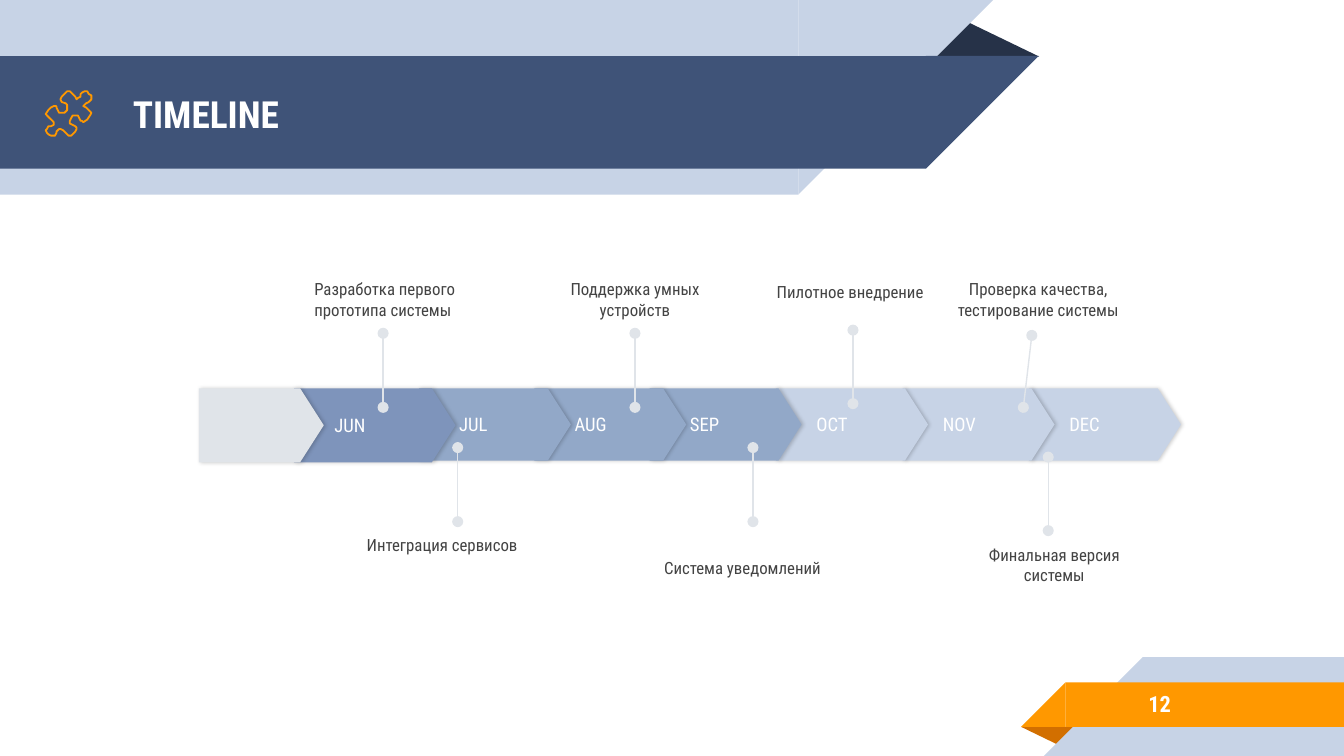
from itertools import accumulate

from lxml import etree
from pptx import Presentation
from pptx.dml.color import RGBColor
from pptx.enum.shapes import MSO_CONNECTOR, MSO_SHAPE as Shape
from pptx.enum.text import MSO_ANCHOR as Anchor, PP_ALIGN as Align
from pptx.oxml.ns import qn
from pptx.util import Cm, Pt

FONT = "Roboto Condensed"
WHITE = RGBColor(0xFF, 0xFF, 0xFF)
PALE = RGBColor(0xC7, 0xD3, 0xE6)
STEEL = RGBColor(0x92, 0xA8, 0xC8)
BLUE = RGBColor(0x7E, 0x94, 0xBB)
NAVY = RGBColor(0x3F, 0x53, 0x78)
INK = RGBColor(0x26, 0x32, 0x48)
GREY = RGBColor(0xE0, 0xE4, 0xE9)
TEXT = RGBColor(0x43, 0x43, 0x43)
ORANGE = RGBColor(0xFF, 0x98, 0x00)
RUST = RGBColor(0xD2, 0x6F, 0x00)

# Content; all lengths in cm
TITLE = "TIMELINE"
NUMBER = "12"
# label, distance to the next arrow, width, height, colour
MONTHS = [
    ("", 1.8, 2.36, 1.4, GREY),
    ("JUN", 2.36, 3.05, 1.4, BLUE),
    ("JUL", 2.18, 2.87, 1.37, STEEL),
    ("AUG", 2.18, 2.87, 1.37, STEEL),
    ("SEP", 2.39, 2.87, 1.37, STEEL),
    ("OCT", 2.39, 2.87, 1.37, PALE),
    ("NOV", 2.39, 2.87, 1.37, PALE),
    ("DEC", 0, 2.87, 1.37, PALE),
]
ARROWS_LEFT, ARROWS_TOP = 3.76, 7.34
# text, left, top, width, anchor, alignment, pin start, pin end
MILESTONES = [
    ("Разработка первого прототипа системы", 5.94, 4.57, 3.48,
     Anchor.BOTTOM, Align.LEFT, (7.24, 7.7), (7.24, 6.3)),
    ("Интеграция сервисов", 6.93, 10.11, 3.48,
     Anchor.TOP, Align.LEFT, (8.65, 9.86), (8.65, 8.46)),
    ("Поддержка умных устройств", 10.26, 4.57, 3.48,
     Anchor.BOTTOM, Align.CENTER, (12, 7.7), (12, 6.3)),
    ("Система уведомлений", 12.29, 9.45, 3.48,
     Anchor.BOTTOM, Align.CENTER, (14.23, 9.86), (14.23, 8.46)),
    ("Пилотное внедрение", 14.68, 5.33, 3.48,
     Anchor.TOP, Align.LEFT, (16.12, 7.63), (16.12, 6.24)),
    ("Проверка качества, тестирование системы", 17.88, 4.57, 3.48,
     Anchor.BOTTOM, Align.CENTER, (19.34, 7.7), (19.5, 6.34)),
    ("Финальная версия системы", 18.49, 10.29, 2.87,
     Anchor.TOP, Align.CENTER, (19.81, 10.03), (19.81, 8.64)),
]
MILESTONE_HEIGHT = 1.47
# Puzzle piece outline, in steps of ICON_STEP
ICON_STEP = 0.0254
PUZZLE = [
    (64, 77), (66, 75.5), (67.5, 74), (68, 72.5), (67.5, 71), (66.5, 69.5),
    (65, 68.5), (63, 68), (61, 69), (60, 70.5), (59.5, 72), (58.5, 73),
    (57, 73.5), (55.5, 72.5), (53, 69), (51.5, 68), (50, 68.5), (48, 70),
    (46, 72.5), (45, 74.5), (46, 76), (49, 77), (50, 78), (50.5, 80),
    (49.5, 82), (48, 83.5), (46, 84), (44, 83.5), (43, 82), (42.5, 80.5),
    (41.5, 79.3), (40, 78.8), (38, 79.8), (36, 82), (34.5, 85), (35.5, 87),
    (39, 89.5), (40, 91), (39.5, 93), (38, 94), (36, 94.5), (35, 95.5),
    (34.5, 97), (35, 99), (36, 100.2), (37.5, 101), (39.5, 101.3),
    (41, 100.7), (42, 99), (42.5, 97.5), (43.5, 96.5), (45, 96), (47, 97),
    (49.5, 100.3), (51, 101.2), (53, 100.6), (55.5, 98.5), (57, 96.3),
    (57.2, 95), (56, 93.8), (53.5, 92.8), (52.2, 91.5), (52, 89.5),
    (53, 87.8), (54.5, 86.4), (56.5, 85.8), (58.5, 86.2), (59.3, 87.5),
    (60, 89.5), (61, 90.5), (62.5, 90.7), (65, 89), (67, 86.5), (68, 84.5),
    (67, 83), (63.5, 80.5), (62.4, 79), (62.8, 77.7),
]


def paint(shape, color):
    shape.shadow.inherit = False
    shape.fill.solid()
    shape.fill.fore_color.rgb = color
    shape.line.fill.background()


def add_part(page, kind, left, top, width, height, color):
    shape = page.shapes.add_shape(kind, Cm(left), Cm(top), Cm(width), Cm(height))
    paint(shape, color)
    return shape


def add_band(page, left, top, width, height, color, slant_right):
    """A bar with a 45 degree end on its right or its left."""
    bar_left = left if slant_right else left + height
    end_left = left + width - height if slant_right else left
    add_part(page, Shape.RECTANGLE, bar_left, top, width - height, height, color)
    end = add_part(page, Shape.RIGHT_TRIANGLE, end_left, top, height, height, color)
    end._element.spPr.xfrm.set("flipV" if slant_right else "flipH", "1")


def add_fold(page, left, top, width, height, color, rotation=0):
    fold = add_part(page, Shape.ISOSCELES_TRIANGLE, left, top, width, height, color)
    fold.adjustments[0] = 0.32
    fold.rotation = rotation


def write(shape, text, size, color, anchor, align=Align.LEFT, bold=False,
          inset=0.0, left_inset=None):
    frame = shape.text_frame
    frame.word_wrap = True
    frame.vertical_anchor = anchor
    frame.margin_top = frame.margin_right = frame.margin_bottom = Cm(inset)
    frame.margin_left = Cm(inset if left_inset is None else left_inset)
    frame.text = text
    para = frame.paragraphs[0]
    para.alignment = align
    para.font.name, para.font.size, para.font.bold = FONT, Pt(size), bold
    para.font.color.rgb = color


def add_text(page, left, top, width, height, *args, **options):
    box = page.shapes.add_textbox(Cm(left), Cm(top), Cm(width), Cm(height))
    write(box, *args, **options)


def add_soft_shadow(shape):
    effects = shape._element.spPr.find(qn("a:effectLst"))
    shadow = etree.SubElement(effects, qn("a:outerShdw"), blurRad=str(Pt(2.2)),
                              dist=str(Pt(0.8)), dir="0", rotWithShape="0")
    tint = etree.SubElement(shadow, qn("a:srgbClr"), val="000000")
    etree.SubElement(tint, qn("a:alpha"), val="20000")


def add_pin(page, start, end):
    pin = page.shapes.add_connector(MSO_CONNECTOR.STRAIGHT,
                                    *[Cm(value) for value in start + end])
    pin.line.color.rgb = GREY
    pin.line.width = Pt(0.75)
    for tag in ("a:headEnd", "a:tailEnd"):
        etree.SubElement(pin.line._get_or_add_ln(), qn(tag), type="oval")
    etree.SubElement(pin._element.spPr, qn("a:effectLst"))


deck = Presentation()
deck.slide_width, deck.slide_height = Cm(25.4), Cm(14.29)
page = deck.slides.add_slide(deck.slide_layouts[5])

# Header and footer ribbons
add_fold(page, 17.48, 0.36, 2.16, 0.71, INK)
add_band(page, 0, 0, 18.77, 3.68, PALE, True)
add_band(page, 0, 1.06, 19.63, 2.13, NAVY, True)
add_fold(page, 19.3, 13.74, 1.09, 0.36, RUST, 180)
add_band(page, 19.73, 12.42, 5.67, 1.87, PALE, False)
add_band(page, 19.3, 12.9, 6.1, 0.84, ORANGE, False)

# Title, page number and icon
title = page.shapes.title
title.left, title.top, title.width, title.height = Cm(2.26), Cm(1.09), Cm(14.6), Cm(2.13)
write(title, TITLE, 20, WHITE, Anchor.MIDDLE, bold=True, inset=0.25)
page.shapes._spTree.append(title._element)
add_text(page, 18.24, 12.85, 4.14, 0.89, NUMBER, 12, WHITE, Anchor.MIDDLE,
         Align.RIGHT, bold=True, inset=0.25)
outline = page.shapes.build_freeform(*PUZZLE[0], scale=Cm(ICON_STEP))
outline.add_line_segments(PUZZLE[1:], close=True)
icon = outline.convert_to_shape()
icon.shadow.inherit = False
icon.fill.background()
icon.line.color.rgb = ORANGE
icon.line.width = Pt(0.96)

# Month arrows, last one first so that each overlaps the next
lefts = accumulate((month[1] for month in MONTHS[:-1]), initial=ARROWS_LEFT)
for left, (label, _, width, height, color) in reversed(list(zip(lefts, MONTHS))):
    arrow = add_part(page, Shape.PENTAGON, left, ARROWS_TOP, width, height, color)
    arrow.adjustments[0] = 0.32
    add_soft_shadow(arrow)
    if label:
        write(arrow, label, 10, WHITE, Anchor.MIDDLE, left_inset=0.76)

# Milestones with their pins
for text, left, top, width, anchor, align, start, end in MILESTONES:
    add_pin(page, start, end)
    add_text(page, left, top, width, MILESTONE_HEIGHT, text, 9, TEXT, anchor, align)

deck.save("out.pptx")
